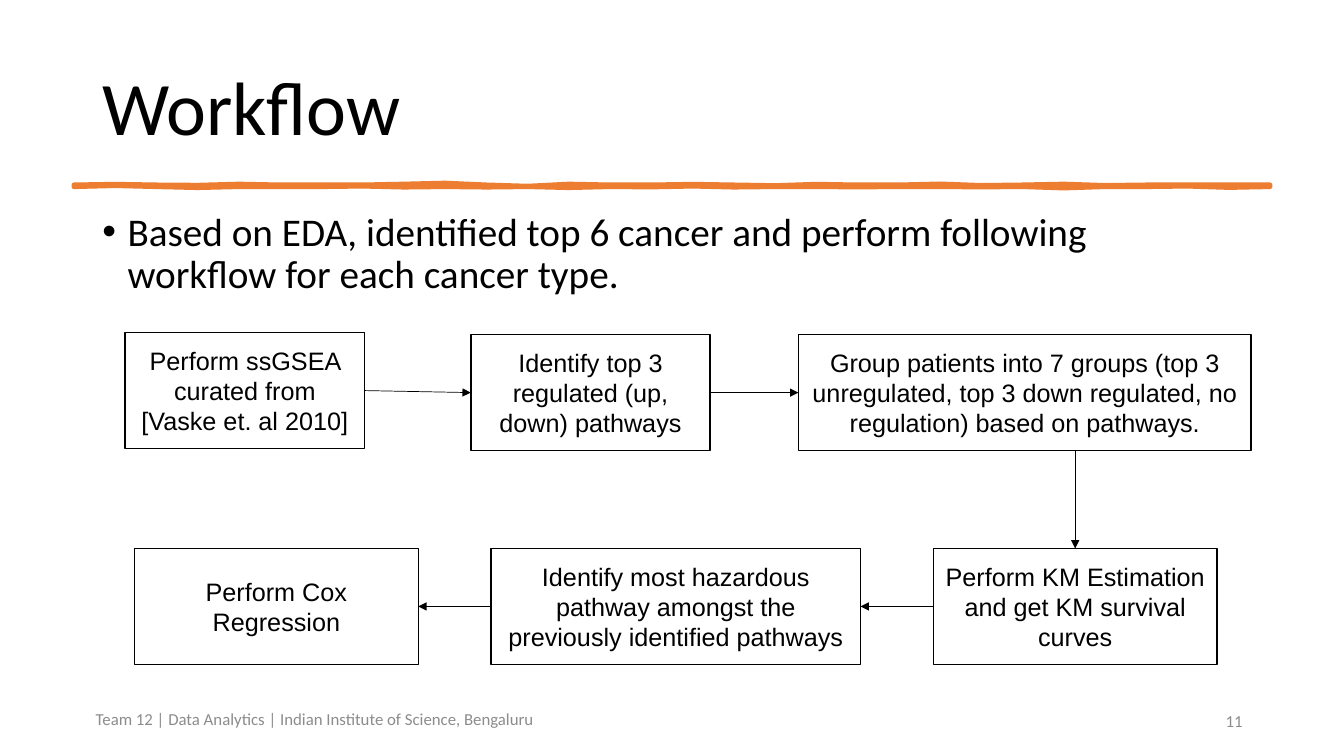
import pptx
import pptx.dml.color
import pptx.enum.shapes
import pptx.enum.text
import pptx.util
from lxml import etree

BLACK = pptx.dml.color.RGBColor(0x00, 0x00, 0x00)
WHITE = pptx.dml.color.RGBColor(0xFF, 0xFF, 0xFF)
GREY = pptx.dml.color.RGBColor(0x8C, 0x8C, 0x8C)
ORANGE = pptx.dml.color.RGBColor(0xED, 0x7D, 0x31)

SLIDE_W = pptx.util.Inches(13.33)
SLIDE_H = pptx.util.Inches(7.5)
COLUMN = SLIDE_W / 160
ROW = SLIDE_H / 90

ALIGN = pptx.enum.text.PP_ALIGN
ANCHOR = pptx.enum.text.MSO_ANCHOR
TOP, LEFT, BOTTOM, RIGHT = range(4)

# Height of the brush stroke's edges, in hundredths of a row, at equal steps.
UPPER_EDGE = [0, -8, 0, 4, -10, 0, 0, 0, -10, -22, 0, 15, -10, 0, 0, -8,
              0, 8, -8, 0, 0, -12, 6, 0, -10, 6, 0, 0, 0, 0]
LOWER_EDGE = [24, 12, 24, 36, 24, 24, 24, 18, 30, 24, 30, 24, 36, 24, 28, 18,
              30, 24, 24, 28, 24, 24, 28, 24, 40, 24, 24, 18, 34, 24]

# Text, left column, top row and columns wide, within the workflow region.
STEPS = [
    ("Perform ssGSEA curated from\v[Vaske et. al 2010]", 0, 0, 28.5),
    ("Identify top 3 regulated (up, down) pathways", 41.15, 0.24, 28.5),
    ("Group patients into 7 groups (top 3 unregulated, top 3 down regulated, "
     "no regulation) based on pathways.", 80.15, 0.24, 53.9),
    ("Perform KM Estimation and get KM survival curves", 96.2, 25.7, 33.8),
    ("Identify most hazardous pathway amongst the previously identified "
     "pathways", 43.55, 25.7, 44),
    ("Perform Cox Regression", 1.1, 25.7, 33.8),
]
STEP_ROWS = 13.8


def emu(box):
    """Turn (column, row, columns, rows) into slide lengths."""
    left, top, width, height = box
    return (round(left * COLUMN), round(top * ROW),
            round(width * COLUMN), round(height * ROW))


def write(frame, text, font, size, color, align, anchor):
    frame.word_wrap = True
    frame.vertical_anchor = anchor
    frame.text = text
    paragraph = frame.paragraphs[0]
    paragraph.alignment = align
    for run in paragraph.runs:
        run.font.name = font
        run.font.size = pptx.util.Pt(size)
        run.font.color.rgb = color
    return paragraph


def add_label(slide, box, text, size, color, align, anchor=ANCHOR.MIDDLE):
    frame = slide.shapes.add_textbox(*emu(box)).text_frame
    return write(frame, text, "Calibri", size, color, align, anchor)


def add_title(slide, box):
    title = add_label(slide, box, "Workflow", 54, BLACK, ALIGN.LEFT)
    title.line_spacing = 0.9


def add_brush_stroke(slide, box):
    left, top, width, _ = box
    step = width / (len(UPPER_EDGE) - 1)

    def edge(heights):
        return [(round((left + i * step) * COLUMN), round((top + h / 100) * ROW))
                for i, h in enumerate(heights)]

    outline = edge(UPPER_EDGE) + edge(LOWER_EDGE)[::-1]
    builder = slide.shapes.build_freeform(*outline[0])
    builder.add_line_segments(outline[1:], close=True)
    stroke = builder.convert_to_shape()
    stroke.shadow.inherit = False
    stroke.fill.solid()
    stroke.fill.fore_color.rgb = ORANGE
    stroke.line.color.rgb = ORANGE
    stroke.line.width = pptx.util.Pt(3.25)


def add_summary(slide, box):
    summary = add_label(
        slide, box, "Based on EDA, identified top 6 cancer and perform following "
        "workflow for each cancer type.", 28, BLACK, ALIGN.LEFT, ANCHOR.TOP)
    summary.line_spacing = 0.9
    properties = summary._p.get_or_add_pPr()
    indent = pptx.util.Inches(0.25)
    properties.set("marL", str(indent))
    properties.set("indent", str(-indent))
    for tag, key, value in (("a:buFont", "typeface", "Arial"),
                            ("a:buChar", "char", "•")):
        etree.SubElement(properties, pptx.oxml.ns.qn(tag)).set(key, value)


def add_step(slide, box, text):
    step = slide.shapes.add_shape(
        pptx.enum.shapes.MSO_SHAPE.RECTANGLE, *emu(box))
    step.shadow.inherit = False
    step.fill.solid()
    step.fill.fore_color.rgb = WHITE
    step.line.color.rgb = BLACK
    step.line.width = pptx.util.Pt(1)
    write(step.text_frame, text, "Arial", 18, BLACK, ALIGN.CENTER, ANCHOR.MIDDLE)
    return step


def add_arrow(slide, start, end):
    arrow = slide.shapes.add_connector(
        pptx.enum.shapes.MSO_CONNECTOR.STRAIGHT, *start, *end)
    arrow.line.color.rgb = BLACK
    arrow.line.width = pptx.util.Pt(0.5)
    etree.SubElement(arrow.line._get_or_add_ln(),
                     pptx.oxml.ns.qn("a:tailEnd")).set("type", "triangle")
    etree.SubElement(arrow._element.spPr, pptx.oxml.ns.qn("a:effectLst"))
    return arrow


def add_workflow(slide, box):
    left, top, _, _ = box
    steps = [add_step(slide, (left + column, top + row, columns, STEP_ROWS), text)
             for text, column, row, columns in STEPS]
    ssgsea, regulated, groups, survival, hazardous, cox = steps

    for source, target, exit_side, entry_side in (
            (ssgsea, regulated, RIGHT, LEFT),
            (regulated, groups, RIGHT, LEFT),
            (survival, hazardous, LEFT, RIGHT),
            (hazardous, cox, LEFT, RIGHT)):
        arrow = add_arrow(slide, (0, 0), (0, 0))
        arrow.begin_connect(source, exit_side)
        arrow.end_connect(target, entry_side)

    middle = survival.left + survival.width // 2
    down = add_arrow(slide, (middle, groups.top + groups.height),
                     (middle, survival.top))
    down.end_connect(survival, TOP)


def add_footer(slide, box):
    left, top, width, height = box
    add_label(slide, (left, top, 57.4, height),
              "Team 12 | Data Analytics | Indian Institute of Science, Bengaluru",
              12, GREY, ALIGN.CENTER)
    add_label(slide, (left + width - 36, top + 0.2, 36, height), "11",
              12, GREY, ALIGN.RIGHT)


def main():
    deck = pptx.Presentation()
    deck.slide_width, deck.slide_height = SLIDE_W, SLIDE_H
    slide = deck.slides.add_slide(deck.slide_layouts[6])
    add_title(slide, (11, 4.5, 138, 17.4))
    add_brush_stroke(slide, (8.8, 22, 142.4, 0.24))
    add_footer(slide, (8.8, 83.2, 140.3, 4.8))
    add_summary(slide, (11, 24.7, 138, 13))
    add_workflow(slide, (14.9, 39.6, 134.05, 39.5))
    deck.save("out.pptx")


if __name__ == "__main__":
    main()
